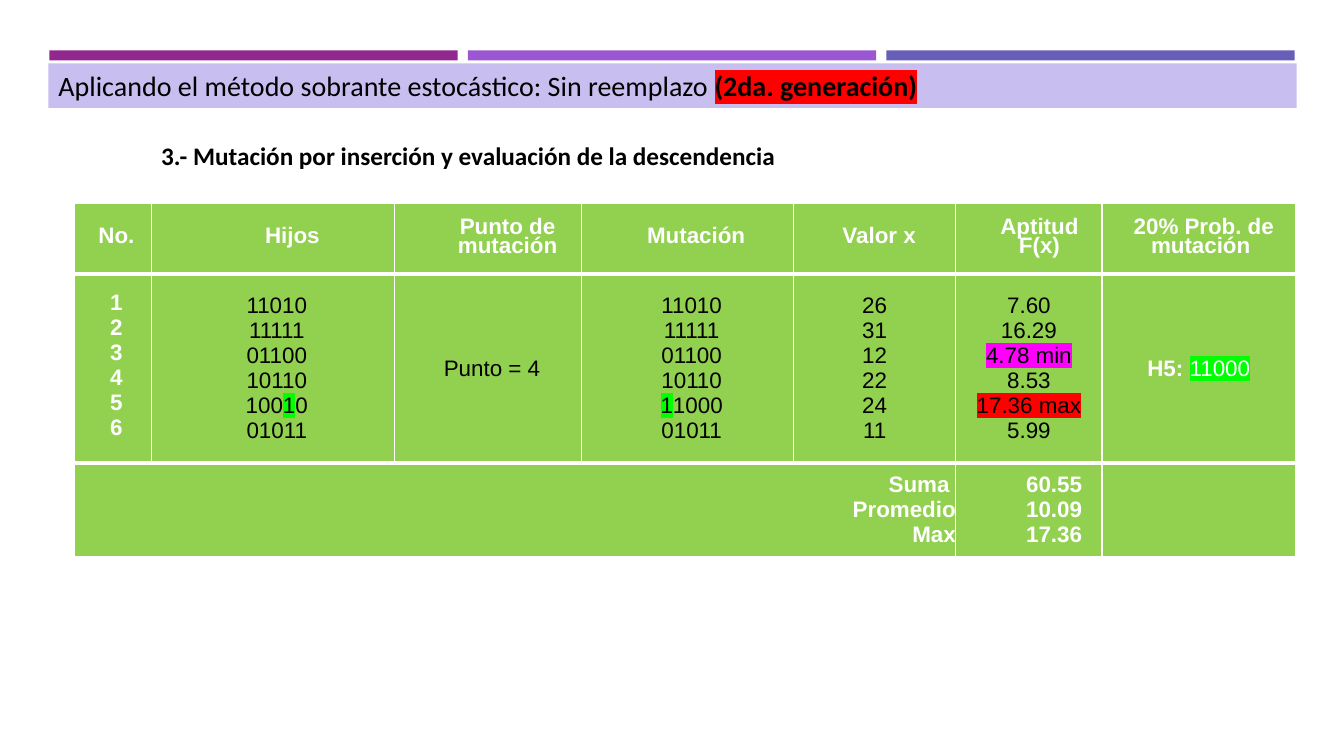
"""Build the slide on insertion mutation and evaluation of the offspring."""
from lxml.etree import SubElement
from pptx import Presentation
from pptx.dml.color import RGBColor
from pptx.enum.shapes import MSO_SHAPE as Shape
from pptx.enum.text import MSO_ANCHOR as Anchor, MSO_AUTO_SIZE as AutoSize, PP_ALIGN as Align
from pptx.oxml.ns import qn
from pptx.util import Inches, Pt

BLACK = RGBColor(0, 0, 0)
WHITE = RGBColor(255, 255, 255)
LIME = RGBColor(0x92, 0xD0, 0x50)
LILAC = RGBColor(0xC8, 0xBE, 0xF0)
BARS = [RGBColor(0x92, 0x27, 0x8F), RGBColor(0x9B, 0x57, 0xD3), RGBColor(0x66, 0x5E, 0xB8)]
GREEN, MAGENTA, RED = "00FF00", "FF00FF", "FF0000"

TITLE = [("Aplicando el método sobrante estocástico: Sin reemplazo ", {}),
         ("(2da. generación)", {"bold": True, "highlight": RED})]
SUBTITLE = "3.- Mutación por inserción y evaluación de la descendencia"

HEADERS = [["No."], ["Hijos"], ["Punto de mutación"], ["Mutación"], ["Valor x"],
           ["Aptitud", "F(x)"], ["20% Prob. de mutación "]]
NUMBERS = ["1", "2", "3", "4", "5", "6"]
CHILDREN = ["11010", "11111", "01100", "10110",
            [("100", {}), ("1", {"highlight": GREEN}), ("0", {})], "01011"]
MUTATED = ["11010", "11111", "01100", "10110",
           [("1", {"highlight": GREEN}), ("1000", {})], "01011"]
VALUES = ["26", "31", "12", "22", "24", "11"]
FITNESS = ["7.60", "16.29", [("4.78 min", {"highlight": MAGENTA})], "8.53",
           [("17.36 max", {"highlight": RED})], "5.99"]
MUTANT = [[("H5: ", {"bold": True, "color": WHITE}),
           ("11000", {"color": WHITE, "highlight": GREEN})]]
ROWS = [HEADERS,
        [NUMBERS, CHILDREN, ["Punto = 4"], MUTATED, VALUES, FITNESS, MUTANT],
        [["Suma ", "Promedio", "Max"], [], [], [], [], ["60.55", "10.09", "17.36"], []]]
INDENTS = [[0.07, 0.39, 0.39, 0.17, 0.09, 0.21, 0.1],
           [0.07, 0.08, 0.08, 0.08, 0, 0, 0],
           [0.07, 0, 0, 0, 0, 0.5, 0]]
COLUMN_WIDTHS = [0.76, 2.41, 1.86, 2.1, 1.61, 1.45, 1.92]
ROW_HEIGHTS = [0.7, 1.87, 0.93]
EDGES = ["lnL", "lnR", "lnT", "lnB"]
THICK_EDGES = [(0, "lnB"), (2, "lnT")]

HEADING = {"name": "Calibri", "size": Pt(20), "bold": False, "color": BLACK}
SUBHEADING = HEADING | {"size": Pt(18), "bold": True}
STRONG = {"name": "Arial", "size": Pt(16), "bold": True, "color": WHITE}
PLAIN = STRONG | {"bold": False, "color": BLACK}


def set_all(target, formats):
    for name, value in formats.items():
        setattr(target, name, value)


def add_run(paragraph, text, formats):
    run = paragraph.add_run()
    run.text = text
    fonts = dict(formats)
    run.font.color.rgb = fonts.pop("color")
    highlight = fonts.pop("highlight", None)
    set_all(run.font, fonts)
    if highlight:
        properties = run.font._element
        mark = SubElement(properties, qn("a:highlight"))
        SubElement(mark, qn("a:srgbClr"), val=highlight)
        properties.find(qn("a:solidFill")).addnext(mark)


def write(frame, lines, formats, **layout):
    for index, line in enumerate(lines):
        paragraph = frame.add_paragraph() if index else frame.paragraphs[0]
        set_all(paragraph, layout)
        for text, changes in [(line, {})] if isinstance(line, str) else line:
            add_run(paragraph, text, formats | changes)


def add_borders(cell, row):
    properties = cell._tc.get_or_add_tcPr()
    for edge in EDGES:
        width = Pt(3 if (row, edge) in THICK_EDGES else 1)
        line = SubElement(properties, qn(f"a:{edge}"), w=str(width))
        fill = SubElement(line, qn("a:solidFill"))
        SubElement(fill, qn("a:srgbClr"), val=str(WHITE))


def place(shape, *box):
    set_all(shape, dict(zip(("left", "top", "width", "height"), map(Inches, box))))


presentation = Presentation()
set_all(presentation, {"slide_width": Inches(13.33), "slide_height": Inches(7.5)})
slide = presentation.slides.add_slide(presentation.slide_layouts[5])

for index, color in enumerate(BARS):
    bar = slide.shapes.add_shape(Shape.RECTANGLE, Inches(0.49 + 4.15 * index), Inches(0.5),
                                 Inches(4.05), Inches(0.1))
    bar.shadow.inherit = False
    bar.fill.solid()
    bar.fill.fore_color.rgb = color
    bar.line.fill.background()

title = slide.shapes.title
place(title, 0.48, 0.63, 12.38, 0.44)
title.fill.solid()
title.fill.fore_color.rgb = LILAC
set_all(title.text_frame, {"vertical_anchor": Anchor.MIDDLE, "auto_size": AutoSize.NONE})
write(title.text_frame, [TITLE], HEADING, alignment=Align.LEFT)

subtitle = slide.shapes.add_textbox(*map(Inches, (0.29, 1.34, 8.71, 0.4)))
subtitle.text_frame.word_wrap = True
write(subtitle.text_frame, [SUBTITLE], SUBHEADING, alignment=Align.CENTER)

table = slide.shapes.add_table(len(ROWS), len(COLUMN_WIDTHS), Inches(0.74), Inches(2.02),
                               Inches(sum(COLUMN_WIDTHS)), Inches(sum(ROW_HEIGHTS))).table
set_all(table, {"first_row": False, "horz_banding": False})
for column, width in zip(table.columns, COLUMN_WIDTHS):
    column.width = Inches(width)
for row, height in zip(table.rows, ROW_HEIGHTS):
    row.height = Inches(height)
table.cell(2, 0).merge(table.cell(2, 4))

for row, contents in enumerate(ROWS):
    for column, lines in enumerate(contents):
        cell = table.cell(row, column)
        set_all(cell, {"margin_left": Inches(INDENTS[row][column]), "margin_right": 0,
                       "margin_top": 0, "margin_bottom": 0, "vertical_anchor": Anchor.MIDDLE})
        add_borders(cell, row)
        cell.fill.solid()
        cell.fill.fore_color.rgb = LIME
        write(cell.text_frame, lines, PLAIN if row == 1 and column else STRONG,
              alignment=Align.RIGHT if (row, column) == (2, 0) else Align.CENTER,
              line_spacing=Pt(13.8) if row == 0 else None)
table.cell(1, 0).text_frame.paragraphs[0].line_spacing = Pt(13.5)

presentation.save("out.pptx")
